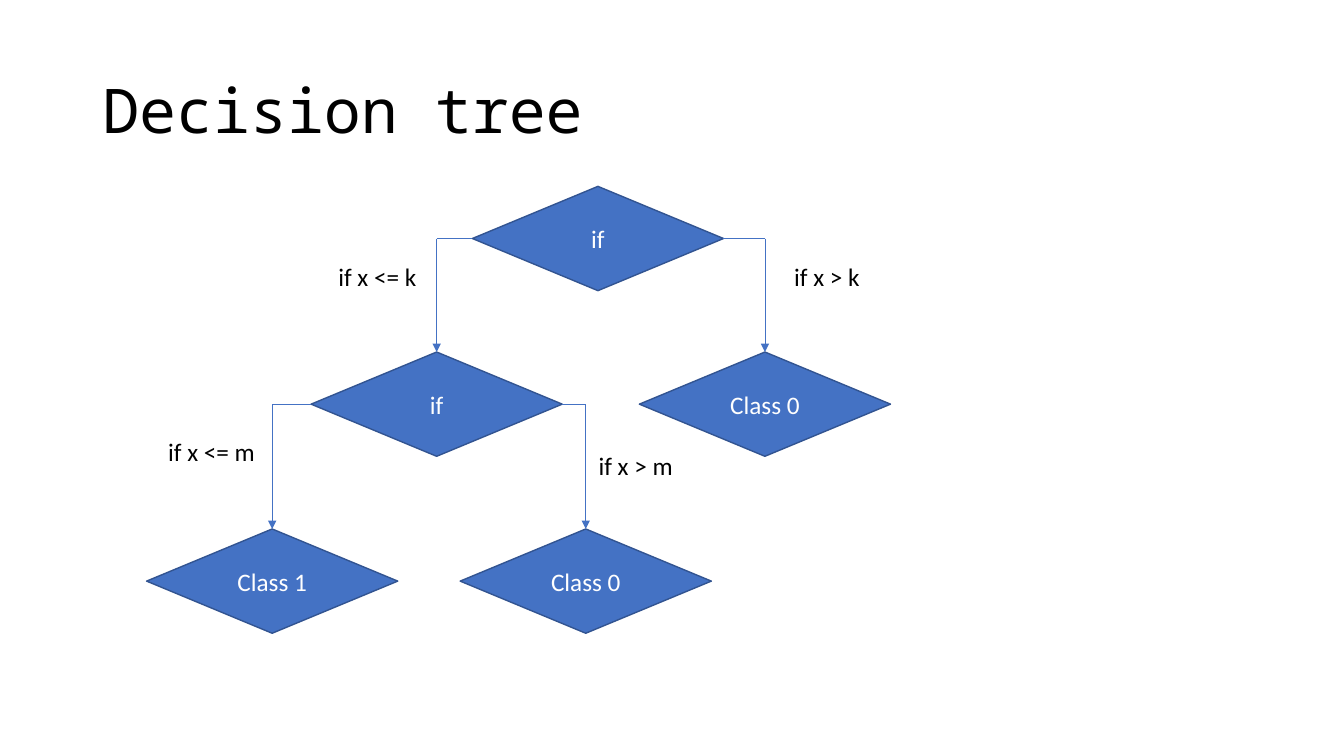
from dataclasses import dataclass

from lxml import etree
from pptx import Presentation
from pptx.dml.color import RGBColor
from pptx.enum.shapes import MSO_CONNECTOR, MSO_SHAPE
from pptx.enum.text import MSO_ANCHOR, MSO_AUTO_SIZE, PP_ALIGN
from pptx.oxml.ns import qn
from pptx.util import Pt

DECISION = MSO_SHAPE.FLOWCHART_DECISION
STRAIGHT = MSO_CONNECTOR.STRAIGHT
MIDDLE = MSO_ANCHOR.MIDDLE
CENTER = PP_ALIGN.CENTER
FIT_SHAPE = MSO_AUTO_SIZE.SHAPE_TO_FIT_TEXT
TOP_SITE, LEFT_SITE, RIGHT_SITE = 0, 1, 3


@dataclass(frozen=True)
class Theme:
    """Colours, fonts and type sizes of the slide."""
    blue: RGBColor = RGBColor(0x44, 0x72, 0xC4)
    outline: RGBColor = RGBColor(0x32, 0x54, 0x91)
    black: RGBColor = RGBColor(0, 0, 0)
    white: RGBColor = RGBColor(255, 255, 255)
    title_font: str = "Noto Sans Mono"
    body_font: str = "Calibri"
    title_size: int = 44
    body_size: int = 18


THEME = Theme()
NODE_WIDTH, NODE_HEIGHT = 179.4, 74.5
LABEL_HEIGHT = 28.8
ROW_CENTERS = (170.4, 288.7, 415.1)

NODES = {
    "root": ("if", 427.1, 0),
    "second test": ("if", 311.9, 1),
    "right leaf": ("Class 0", 546.4, 1),
    "lower left leaf": ("Class 1", 194.4, 2),
    "lower right leaf": ("Class 0", 418.4, 2),
}
BRANCHES = (
    ("root", "second test", LEFT_SITE),
    ("second test", "lower left leaf", LEFT_SITE),
    ("second test", "lower right leaf", RIGHT_SITE),
    ("root", "right leaf", RIGHT_SITE),
)
LABELS = (
    ("if x <= k", 234.6, 182.9, 71),
    ("if x > k", 560.2, 182.9, 62),
    ("if x <= m", 113.1, 308.2, 77),
    ("if x > m", 420.5, 318.2, 68.4),
)


def add_run(paragraph, text, font_name, size, color):
    """Add one formatted run to a paragraph."""
    run = paragraph.add_run()
    run.text = text
    run.font.name = font_name
    run.font.size = Pt(size)
    run.font.color.rgb = color


def add_title(slide, text):
    """Add the slide title."""
    shape = slide.shapes.add_textbox(Pt(66), Pt(28.8), Pt(828), Pt(104.4))
    frame = shape.text_frame
    frame.word_wrap = True
    frame.vertical_anchor = MIDDLE
    paragraph = frame.paragraphs[0]
    paragraph.line_spacing = 0.9
    add_run(paragraph, text, THEME.title_font, THEME.title_size, THEME.black)


def add_node(slide, text, center, row):
    """Add a decision diamond centred in its row."""
    shape = slide.shapes.add_shape(
        DECISION, Pt(center - NODE_WIDTH / 2), Pt(ROW_CENTERS[row] - NODE_HEIGHT / 2),
        Pt(NODE_WIDTH), Pt(NODE_HEIGHT))
    shape.shadow.inherit = False
    shape.fill.solid()
    shape.fill.fore_color.rgb = THEME.blue
    shape.line.color.rgb = THEME.outline
    shape.line.width = Pt(1)
    shape.text_frame.vertical_anchor = MIDDLE
    paragraph = shape.text_frame.paragraphs[0]
    paragraph.alignment = CENTER
    add_run(paragraph, text, THEME.body_font, THEME.body_size, THEME.white)
    return shape


def add_line(slide, start, end):
    """Add a thin straight connector without a shadow."""
    connector = slide.shapes.add_connector(STRAIGHT, *start, *end)
    connector.line.color.rgb = THEME.blue
    connector.line.width = Pt(0.5)
    etree.SubElement(connector.element.spPr, qn("a:effectLst"))
    return connector


def add_branch(slide, parent, child, site):
    """Lead from a side of the parent across and down to the child."""
    side = parent.left if site == LEFT_SITE else parent.left + parent.width
    middle = parent.top + parent.height // 2
    corner = (child.left + child.width // 2, middle)
    across = add_line(slide, (side, middle), corner)
    across.begin_connect(parent, site)
    down = add_line(slide, corner, (corner[0], child.top))
    down.end_connect(child, TOP_SITE)
    etree.SubElement(down.line._get_or_add_ln(), qn("a:tailEnd"), type="triangle")


def add_label(slide, text, left, top, width):
    """Add the condition beside a branch."""
    shape = slide.shapes.add_textbox(Pt(left), Pt(top), Pt(width), Pt(LABEL_HEIGHT))
    frame = shape.text_frame
    frame.word_wrap = False
    frame.auto_size = FIT_SHAPE
    add_run(frame.paragraphs[0], text, THEME.body_font, THEME.body_size, THEME.black)


def main():
    """Build and save the decision tree slide."""
    presentation = Presentation()
    presentation.slide_width, presentation.slide_height = Pt(960), Pt(540)
    slide = presentation.slides.add_slide(presentation.slide_layouts[6])
    add_title(slide, "Decision tree")
    nodes = {name: add_node(slide, *node) for name, node in NODES.items()}
    for parent, child, site in BRANCHES:
        add_branch(slide, nodes[parent], nodes[child], site)
    for label in LABELS:
        add_label(slide, *label)
    presentation.save("out.pptx")


main()
